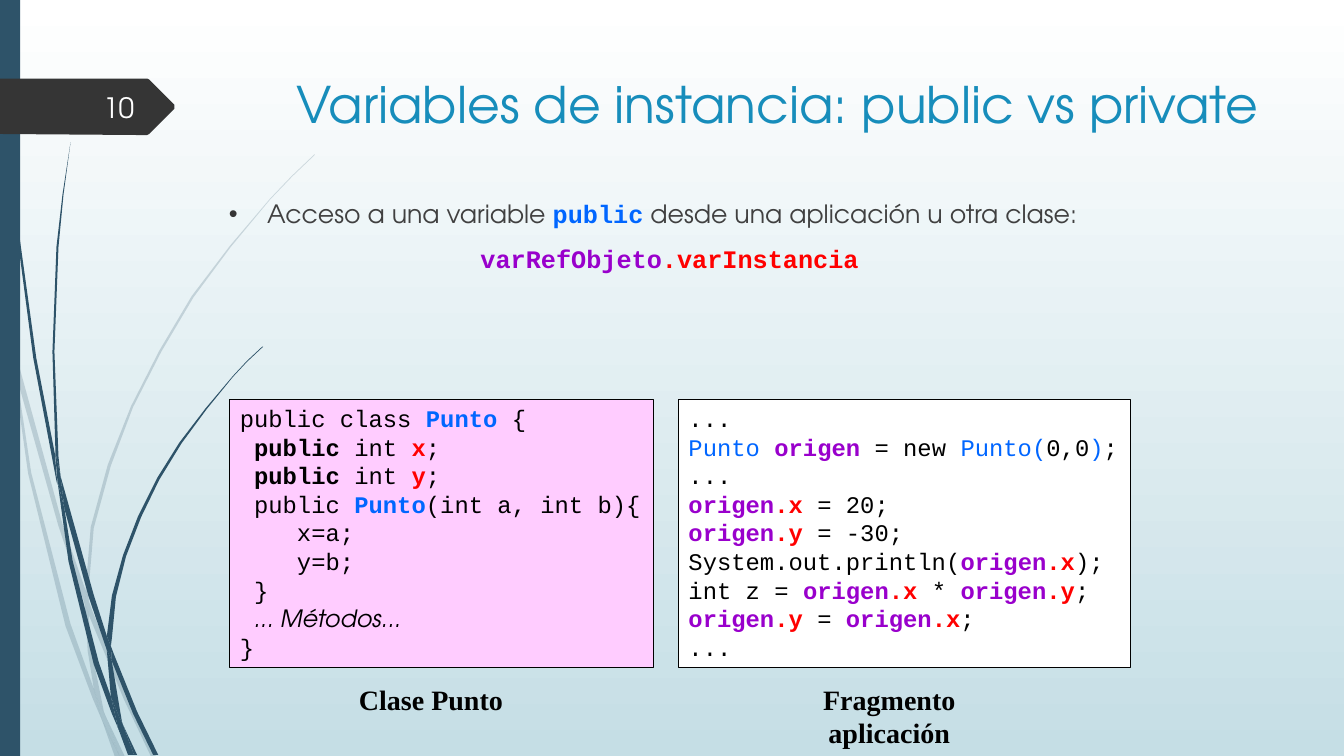
"""Build the slide about public and private instance variables."""
from pptx import Presentation
from pptx.dml.color import RGBColor
from pptx.enum.shapes import MSO_SHAPE
from pptx.enum.text import MSO_ANCHOR, MSO_AUTO_SIZE, PP_ALIGN
from pptx.oxml import parse_xml
from pptx.oxml.ns import nsdecls
from pptx.util import Inches, Pt

WHITE = RGBColor(0xFF, 0xFF, 0xFF)
BLACK = RGBColor(0, 0, 0)
SKY = RGBColor(0xC5, 0xDE, 0xE5)
NAVY = RGBColor(0x2E, 0x53, 0x69)
CHARCOAL = RGBColor(0x35, 0x35, 0x35)
GREY = RGBColor(0x40, 0x40, 0x40)
TEAL = RGBColor(0x17, 0x8D, 0xBB)
BLUE = RGBColor(0x00, 0x66, 0xFF)
PURPLE = RGBColor(0x99, 0x00, 0xCC)
RED = RGBColor(0xFF, 0x00, 0x00)
PINK = RGBColor(0xFF, 0xCC, 0xFF)
SANS, MONO, SERIF = "TeX Gyre Adventor", "Courier New", "Times New Roman"

STYLES = {
    "title": (SANS, TEAL, False, False),
    "body": (SANS, GREY, False, False),
    "number": (SANS, WHITE, False, False),
    "caption": (SERIF, BLACK, True, False),
    "code": (MONO, BLACK, False, False),
    "bold": (MONO, BLACK, True, False),
    "type": (MONO, BLUE, False, False),
    "class": (MONO, BLUE, True, False),
    "object": (MONO, PURPLE, True, False),
    "field": (MONO, RED, True, False),
    "note": (SANS, BLACK, False, True),
}

PALE_GRASS = [
    "11,350 9,322 0,282 0,299 10,344",
    "58,522 84,599 85,586 62,520 14,345 17,376",
    "92,607 88,596 88,610 123,694 150,751 155,751 127,692",
    "119,751 124,751 105,711",
    "93,683 70,619 31,469 17,376 11,350 28,470 65,621 92,693 101,714 99,707",
    "84,599 87,646 93,683 96,692 105,711 103,706 91,646 88,610 88,608",
    "88,584 93,524 110,462 132,404 160,349 192,295 229,245 268,198 290,175 312,154 "
    "312,153 289,175 268,197 228,244 190,294 158,348 130,403 107,461 90,523 85,584 85,586 88,596",
    "101,714 114,751 119,751",
    "88,608 88,610 88,596 85,586 84,599",
    "96,692 93,683 99,707 101,714 119,751 105,711",
]
DARK_GRASS = [
    "7,110 17,233 33,355 56,477 57,481 55,457 55,453 36,355 19,232 8,109 5,48 4,0 3,0 4,48",
    "88,592 106,645 106,633 106,631 93,590 60,472 64,505",
    "113,649 110,641 111,656 132,708 152,749 157,749 136,706",
    "110,691 98,657 72,556 64,505 57,477 68,557 93,659 111,708 117,722 116,717",
    "60,472 58,453 54,349 58,245 63,193 70,141 62,193 56,245 52,349 55,449",
    "133,749 136,749 122,719",
    "57,477 64,505 60,472 55,449 55,453",
    "111,633 115,592 125,552 140,513 158,476 180,440 205,406 231,374 245,359 261,344 "
    "260,344 245,358 231,373 204,405 178,439 156,474 137,512 122,551 111,591 106,631 110,641",
    "117,722 127,749 131,749",
    "106,645 110,691 116,706 122,719 121,716 111,656 109,651",
    "106,645 109,651 111,656 110,641 106,631 106,633",
    "116,706 110,691 116,717 117,722 130,749 133,749 122,719",
]
NUMBER_TAG = "173,108 148,133 146,134 136,134 0,133 0,78 136,78 146,78 148,79 173,104"

ORIGEN_X = [("origen", "object"), (".x", "field")]
ORIGEN_Y = [("origen", "object"), (".y", "field")]
BODY = [
    [("Acceso a una variable ", "body"), ("public", "class"),
     (" desde una aplicación u otra clase:", "body")],
    [("varRefObjeto", "object"), (".varInstancia", "field")],
]
CLASS_CODE = [
    [("public class ", "code"), ("Punto", "class"), (" {", "code")],
    *[[(" ", "code"), ("public", "bold"), (" int ", "code"), (name, "field"), (";", "code")]
      for name in "xy"],
    [(" public ", "code"), ("Punto", "class"), ("(int a, int b){", "code")],
    [("    x=a;", "code")],
    [("    y=b;", "code")],
    [(" }", "code")],
    [(" ", "code"), ("... Métodos...", "note")],
    [("}", "code")],
]
APP_CODE = [
    [("...", "code")],
    [("Punto ", "type"), ("origen", "object"), (" = new ", "code"), ("Punto(", "type"),
     ("0,0", "code"), (")", "type"), (";", "code")],
    [("...", "code")],
    [*ORIGEN_X, (" = 20;", "code")],
    [*ORIGEN_Y, (" = -30;", "code")],
    [("System.out.println(", "code"), *ORIGEN_X, (");", "code")],
    [("int z = ", "code"), *ORIGEN_X, (" * ", "code"), *ORIGEN_Y, (";", "code")],
    [*ORIGEN_Y, (" = ", "code"), *ORIGEN_X, (";", "code")],
    [("...", "code")],
]


class SlideBuilder:
    def __init__(self, prs):
        self.s = prs.slides.add_slide(prs.slide_layouts[1])

    def background(self, top, bottom):
        fill = self.s.background.fill
        fill.gradient()
        fill.gradient_angle = 270
        for stop, color in zip(fill.gradient_stops, (top, bottom)):
            stop.color.rgb = color

    def paint(self, sp, color, line=None):
        sp.shadow.inherit = False
        sp.fill.solid()
        sp.fill.fore_color.rgb = color
        if line is None:
            sp.line.fill.background()
        else:
            sp.line.color.rgb = line
            sp.line.width = Pt(0.75)

    def outline(self, shapes, points, color, opacity=100):
        start, *rest = [tuple(map(int, point.split(","))) for point in points.split()]
        builder = shapes.build_freeform(*start, scale=Inches(0.01))
        builder.add_line_segments(rest, close=True)
        sp = builder.convert_to_shape()
        self.paint(sp, color)
        if opacity < 100:
            clr = sp.element.spPr.find(".//{*}solidFill/{*}srgbClr")
            clr.append(parse_xml(f'<a:alpha {nsdecls("a")} val="{opacity * 1000}"/>'))

    def grass(self, blades, opacity):
        group = self.s.shapes.add_group_shape()
        for blade in blades:
            self.outline(group.shapes, blade, NAVY, opacity)

    def rect(self, box, color, line=None):
        sp = self.s.shapes.add_shape(MSO_SHAPE.RECTANGLE, *map(Inches, box))
        self.paint(sp, color, line)
        return sp

    def set_lines(self, sp, lines, size, align=PP_ALIGN.LEFT, anchor=MSO_ANCHOR.TOP, wrap=True):
        tf = sp.text_frame
        tf.auto_size = MSO_AUTO_SIZE.NONE
        tf.word_wrap = wrap
        tf.vertical_anchor = anchor
        for i, line in enumerate(lines):
            p = tf.add_paragraph() if i else tf.paragraphs[0]
            p.alignment = align
            for text, style in line:
                r = p.add_run()
                r.text = text
                r.font.size = Pt(size)
                r.font.name, r.font.color.rgb, r.font.bold, r.font.italic = STYLES[style]
        return tf.paragraphs

    def placeholder(self, idx, box, lines, size):
        sp = self.s.placeholders[idx]
        sp.left, sp.top, sp.width, sp.height = map(Inches, box)
        sp.element.getparent().append(sp.element)
        return self.set_lines(sp, lines, size)

    def bullets(self, paragraphs):
        for i, p in enumerate(paragraphs):
            pPr = p._p.get_or_add_pPr()
            pPr.set("marL", str(Inches(0.38)))
            pPr.set("indent", str(-Inches(0.38)))
            marks = ['buNone'] if i else ['buFont typeface="Arial"', 'buChar char="•"']
            if not i:
                pPr.append(parse_xml(f'<a:buClr {nsdecls("a")}><a:srgbClr val="{CHARCOAL}"/></a:buClr>'))
            for mark in marks:
                pPr.append(parse_xml(f'<a:{mark} {nsdecls("a")}/>'))
            p.space_before = Pt(10 if i else 0)

    def text(self, box, text, style, **options):
        sp = self.s.shapes.add_textbox(*map(Inches, box))
        self.set_lines(sp, [[(text, style)]], 20, **options)

    def code(self, box, color, lines):
        for p in self.set_lines(self.rect(box, color, BLACK), lines, 17, wrap=False):
            p.line_spacing = Pt(20.4)


def main():
    prs = Presentation()
    prs.slide_width, prs.slide_height = Inches(13.33), Inches(7.5)
    b = SlideBuilder(prs)
    b.background(WHITE, SKY)
    b.grass(PALE_GRASS, 20)
    b.grass(DARK_GRASS, 100)
    b.rect((0, 0, 0.2, 7.5), NAVY)
    b.outline(b.s.shapes, NUMBER_TAG, CHARCOAL)
    b.placeholder(0, (2.84, 0.68, 9.75, 1.4),
                  [[("Variables de instancia: public vs private", "title")]], 36)
    body = b.placeholder(1, (2.17, 1.92, 8.94, 1.98), BODY, 18)
    b.bullets(body)
    body[1].alignment = PP_ALIGN.CENTER
    b.text((0.58, 0.86, 0.85, 0.4), "10", "number", align=PP_ALIGN.RIGHT, anchor=MSO_ANCHOR.MIDDLE)
    b.code((2.28, 3.96, 4.2, 2.66), PINK, CLASS_CODE)
    b.text((3.46, 6.72, 1.63, 0.43), "Clase Punto", "caption", align=PP_ALIGN.CENTER, wrap=False)
    b.code((6.73, 3.96, 4.48, 2.66), WHITE, APP_CODE)
    b.text((7.43, 6.72, 2.78, 0.43), "Fragmento aplicación", "caption", align=PP_ALIGN.CENTER)
    prs.save("out.pptx")


if __name__ == "__main__":
    main()
